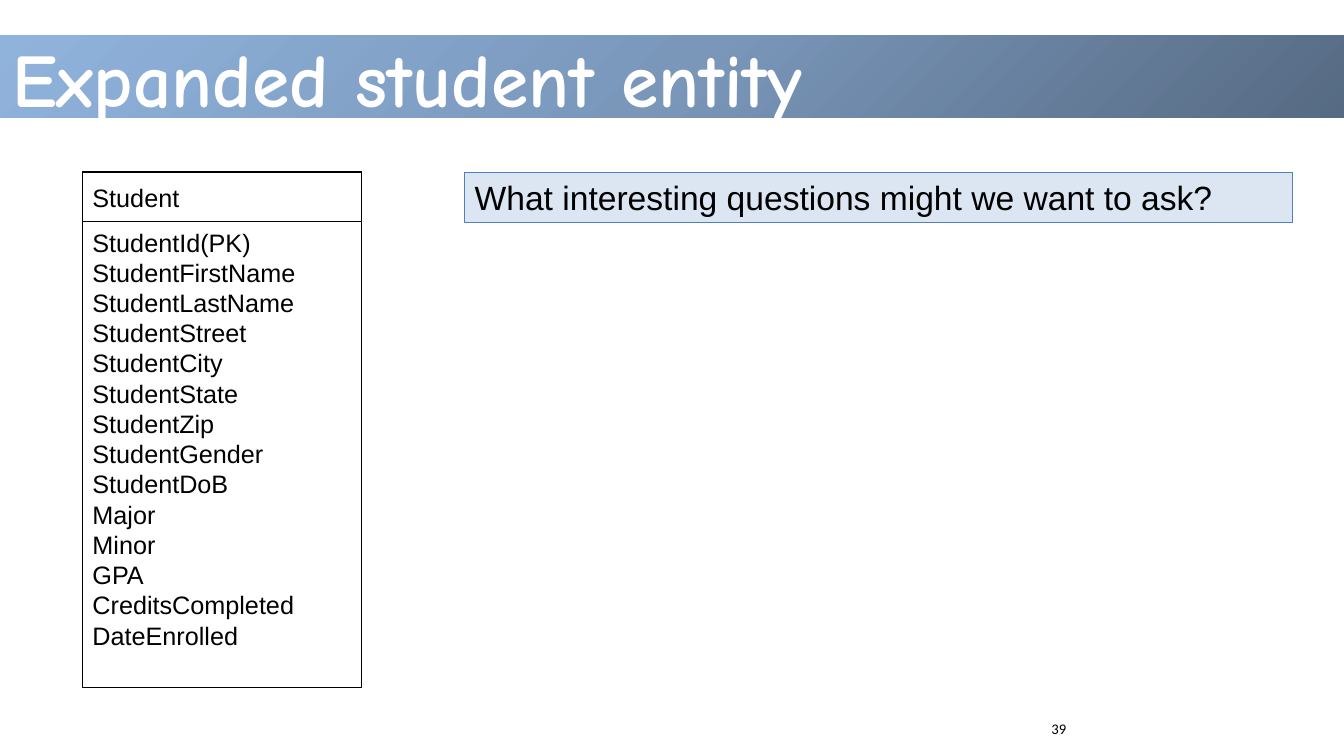
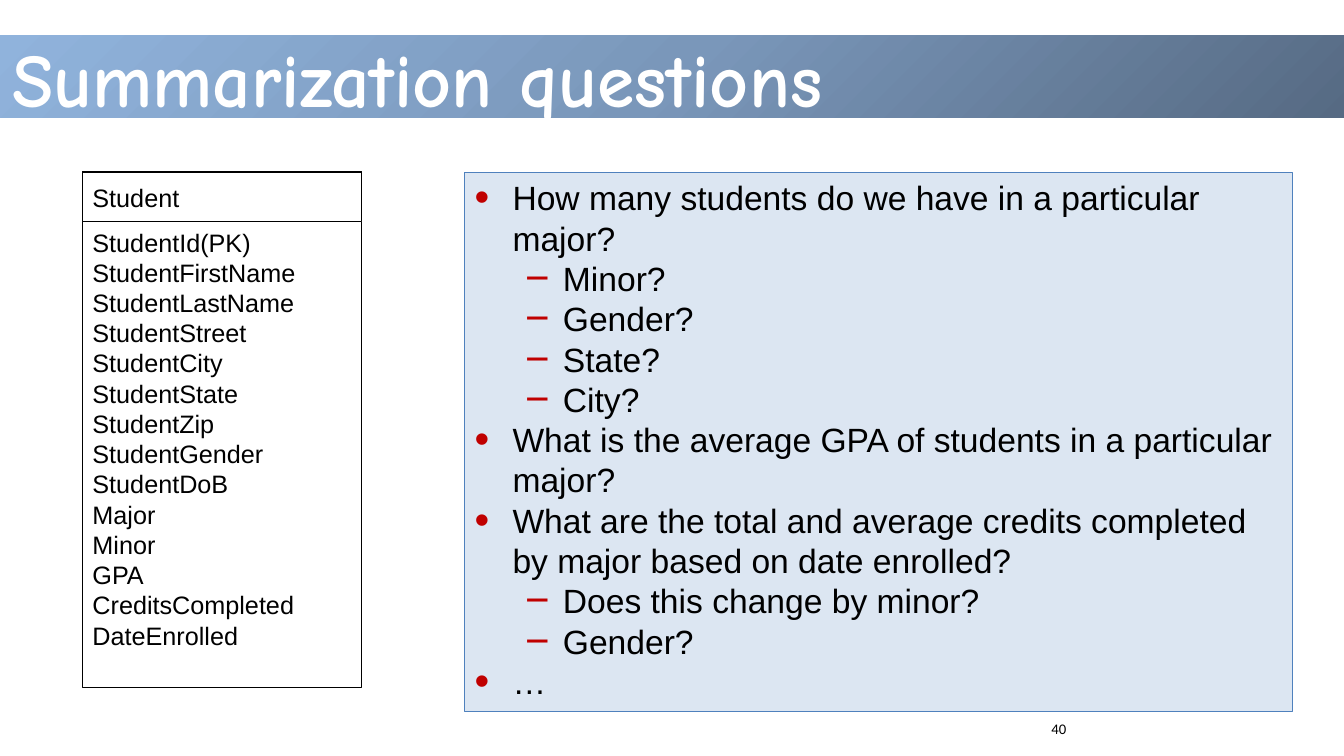
from dataclasses import dataclass

from lxml.etree import SubElement
from pptx import Presentation
from pptx.dml.color import RGBColor
from pptx.enum.shapes import MSO_SHAPE as Preset
from pptx.enum.text import MSO_ANCHOR as Anchor, PP_ALIGN as Align
from pptx.oxml import parse_xml
from pptx.oxml.ns import nsdecls, qn
from pptx.util import Pt


@dataclass(frozen=True)
class Theme:
    white: str = "FFFFFF"
    black: str = "000000"
    panel_fill: str = "DCE6F2"
    panel_line: str = "4F81BD"
    bullet: str = "C00000"
    band_stops: tuple = ((0, "566A83"), (50, "7A97BA"), (100, "90B3DC"))
    title_font: str = "Comic Neue"
    body_font: str = "Arial"
    number_font: str = "Calibri"
    title_size: float = 54
    panel_size: float = 24
    entity_size: float = 18
    number_size: float = 10.5


THEME = Theme()
WIDTH, HEIGHT = 960, 540
CONTENT_TOP = 123
ENTITY_LEFT, ENTITY_WIDTH, ENTITY_HEIGHT, HEADER_HEIGHT = 59, 199.5, 368, 35.5
PANEL_LEFT, PANEL_WIDTH = 332, 591
BULLETS = ("•", "−")
HANGING, LEVEL_STEP = 27, 36

ATTRIBUTES = (
    "StudentId(PK)", "StudentFirstName", "StudentLastName", "StudentStreet",
    "StudentCity", "StudentState", "StudentZip", "StudentGender", "StudentDoB",
    "Major", "Minor", "GPA", "CreditsCompleted", "DateEnrolled",
)
QUESTIONS = (
    (0, "How many students do we have in a particular major?"),
    (1, "Minor?"),
    (1, "Gender?"),
    (1, "State?"),
    (1, "City?"),
    (0, "What is the average GPA of students in a particular major?"),
    (0, "What are the total and average credits completed by major based on date enrolled?"),
    (1, "Does this change by minor?"),
    (1, "Gender?"),
    (0, "…"),
)


def color(value):
    return RGBColor.from_string(value)


def add_rect(shapes, left, top, width, height, fill, line=None, line_width=1):
    rect = shapes.add_shape(Preset.RECTANGLE, Pt(left), Pt(top), Pt(width), Pt(height))
    rect.shadow.inherit = False
    rect.fill.solid()
    rect.fill.fore_color.rgb = color(fill)
    if line:
        rect.line.color.rgb = color(line)
        rect.line.width = Pt(line_width)
    else:
        rect.line.fill.background()
    return rect


def add_text_box(shapes, left, top, width, height):
    return shapes.add_textbox(Pt(left), Pt(top), Pt(width), Pt(height))


def set_bullet(para, level):
    para.level = level
    props = para._p.get_or_add_pPr()
    props.set("marL", str(Pt(HANGING + LEVEL_STEP * level)))
    props.set("indent", str(-Pt(HANGING)))
    bullet_color = SubElement(props, qn("a:buClr"))
    SubElement(bullet_color, qn("a:srgbClr"), val=THEME.bullet)
    SubElement(props, qn("a:buSzPct"), val="125000")
    SubElement(props, qn("a:buFont"), typeface=THEME.body_font)
    SubElement(props, qn("a:buChar"), char=BULLETS[level])


def write(box, lines, size, font=THEME.body_font, ink=THEME.black, bold=False,
          anchor=Anchor.TOP):
    frame = box.text_frame
    frame.word_wrap = True
    frame.vertical_anchor = anchor
    for index, line in enumerate(lines):
        para = frame.add_paragraph() if index else frame.paragraphs[0]
        level, text = line if isinstance(line, tuple) else (None, line)
        para.text = text
        para.alignment = Align.LEFT
        if level is not None:
            set_bullet(para, level)
        para.font.name = font
        para.font.size = Pt(size)
        para.font.bold = bold
        para.font.color.rgb = color(ink)


def add_band(page):
    band = add_rect(page.shapes, 0, 25, WIDTH, 59, THEME.white)
    stops = "".join(
        f'<a:gs pos="{position * 1000}"><a:srgbClr val="{value}"/></a:gs>'
        for position, value in THEME.band_stops
    )
    gradient = parse_xml(
        f'<a:gradFill {nsdecls("a")} rotWithShape="1"><a:gsLst>{stops}</a:gsLst>'
        '<a:path path="circle"><a:fillToRect l="100000" t="100000"/></a:path>'
        '</a:gradFill>'
    )
    solid = band._element.spPr.find(qn("a:solidFill"))
    solid.getparent().replace(solid, gradient)


def add_page(deck, title, number):
    page = deck.slides.add_slide(deck.slide_layouts[6])
    add_band(page)
    write(add_text_box(page.shapes, 1.5, 19.5, 962, 72.5), [title],
          THEME.title_size, THEME.title_font, THEME.white, bold=True)
    write(add_text_box(page.shapes, 744, 510.5, 216, 29), [str(number)],
          THEME.number_size, THEME.number_font)
    return page


def add_entity(page, name, attributes):
    shapes = page.shapes.add_group_shape().shapes
    add_rect(shapes, ENTITY_LEFT, CONTENT_TOP, ENTITY_WIDTH, ENTITY_HEIGHT,
             THEME.white, THEME.black)
    header = add_rect(shapes, ENTITY_LEFT, CONTENT_TOP, ENTITY_WIDTH, HEADER_HEIGHT,
                      THEME.white, THEME.black)
    write(header, [name], THEME.entity_size, anchor=Anchor.MIDDLE)
    body = add_text_box(shapes, ENTITY_LEFT, CONTENT_TOP + HEADER_HEIGHT,
                        ENTITY_WIDTH, 312.5)
    write(body, attributes, THEME.entity_size)


def add_panel(page, height, lines):
    panel = add_rect(page.shapes, PANEL_LEFT, CONTENT_TOP, PANEL_WIDTH, height,
                     THEME.panel_fill, THEME.panel_line, 0.75)
    write(panel, lines, THEME.panel_size)


def main():
    deck = Presentation()
    deck.slide_width, deck.slide_height = Pt(WIDTH), Pt(HEIGHT)
    pages = (
        ("Expanded student entity", 36,
         ["What interesting questions might we want to ask?"]),
        ("Summarization questions", 385, QUESTIONS),
    )
    for number, (title, panel_height, lines) in enumerate(pages, start=39):
        page = add_page(deck, title, number)
        add_entity(page, "Student", ATTRIBUTES)
        add_panel(page, panel_height, lines)
    deck.save("out.pptx")


if __name__ == "__main__":
    main()
